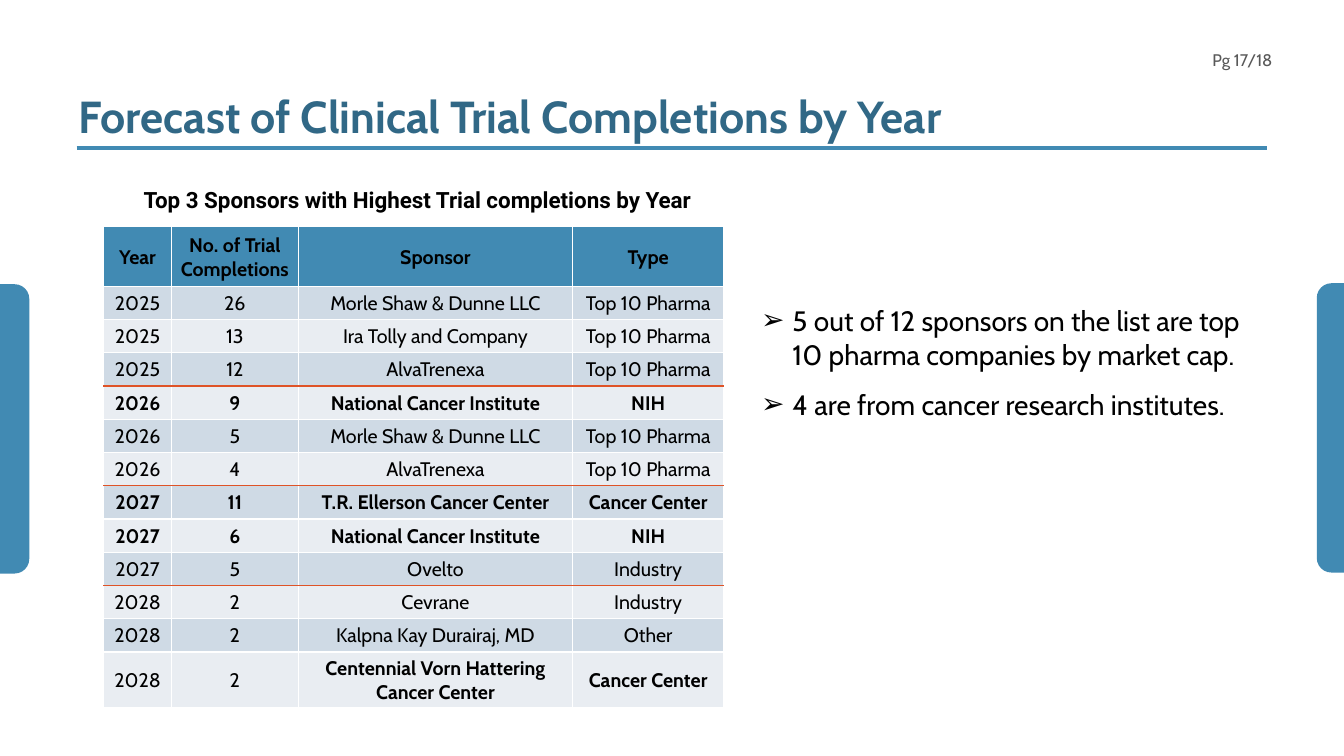
from typing import NamedTuple

from lxml.etree import SubElement
from pptx import Presentation
from pptx.dml.color import RGBColor
from pptx.enum.shapes import MSO_CONNECTOR, MSO_SHAPE
from pptx.enum.text import MSO_ANCHOR as Anchor, MSO_AUTO_SIZE as AutoSize, PP_ALIGN as Align
from pptx.oxml.ns import qn
from pptx.util import Emu, Pt

BLUE = RGBColor(0x41, 0x8A, 0xB3)
TITLE_BLUE = RGBColor(0x31, 0x68, 0x86)
BAND_DARK = RGBColor(0xCF, 0xDA, 0xE5)
BAND_LIGHT = RGBColor(0xE9, 0xED, 0xF2)
ORANGE = RGBColor(0xDF, 0x53, 0x27)
GREY = RGBColor(0x59, 0x59, 0x59)
BLACK = RGBColor(0, 0, 0)
WHITE = RGBColor(0xFF, 0xFF, 0xFF)
EMU_PER_PX = 9144  # 100 px to the inch


class Box(NamedTuple):
    left: int
    top: int
    width: int
    height: int


class Style(NamedTuple):
    size: int
    color: RGBColor = BLACK
    bold: bool = False
    face: str = "Cabin"


class SideTab(NamedTuple):
    box: Box
    rotation: int


class Trial(NamedTuple):
    year: str
    completions: str
    sponsor: str
    kind: str
    bold_from: int = 4  # first bold column; 4 means none


HEADER = Trial("Year", "No. of Trial Completions", "Sponsor", "Type", 0)
TRIALS = [
    Trial("2025", "26", "Morle Shaw & Dunne LLC", "Top 10 Pharma"),
    Trial("2025", "13", "Ira Tolly and Company", "Top 10 Pharma"),
    Trial("2025", "12", "AlvaTrenexa", "Top 10 Pharma"),
    Trial("2026", "9", "National Cancer Institute", "NIH", 0),
    Trial("2026", "5", "Morle Shaw & Dunne LLC", "Top 10 Pharma"),
    Trial("2026", "4", "AlvaTrenexa", "Top 10 Pharma"),
    Trial("2027", "11", "T.R. Ellerson Cancer Center", "Cancer Center", 0),
    Trial("2027", "6", "National Cancer Institute", "NIH", 0),
    Trial("2027", "5", "Ovelto", "Industry"),
    Trial("2028", "2", "Cevrane", "Industry"),
    Trial("2028", "2", "Kalpna Kay Durairaj, MD", "Other"),
    Trial("2028", "2", "Centennial Vorn Hattering Cancer Center", "Cancer Center", 2),
]
COLUMN_WIDTHS = [67, 126, 272, 150]
ROW_HEIGHTS = [59] + [33] * 11 + [55]
SIDE_TABS = [SideTab(Box(-129, 411, 287, 29), 90), SideTab(Box(1177, 410, 287, 29), 270)]
FINDINGS = [
    "5 out of 12 sponsors on the list are top 10 pharma companies by market cap.",
    "4 are from cancer research institutes.",
]


def px(length: int) -> Emu:
    return Emu(length * EMU_PER_PX)


def place(shape, box: Box) -> None:
    shape.left, shape.top, shape.width, shape.height = map(px, box)


def format_runs(paragraph, style: Style) -> None:
    for run in paragraph.runs:
        font = run.font
        font.name, font.size, font.bold = style.face, Pt(style.size), style.bold
        font.color.rgb = style.color


def fill_text(shape, text: str, style: Style, align: Align, anchor: Anchor):
    frame = shape.text_frame
    frame.text = text
    frame.word_wrap, frame.auto_size, frame.vertical_anchor = True, AutoSize.NONE, anchor
    for paragraph in frame.paragraphs:
        paragraph.alignment = align
        format_runs(paragraph, style)
    return frame.paragraphs


def add_side_tab(slide, tab: SideTab) -> None:
    shape = slide.shapes.add_shape(MSO_SHAPE.ROUND_2_SAME_RECTANGLE, *map(px, tab.box))
    shape.adjustments[0], shape.adjustments[1] = 0.5, 0
    shape.rotation = tab.rotation
    shape.shadow.inherit = False
    shape.fill.solid()
    shape.fill.fore_color.rgb = BLUE
    shape.line.fill.background()


def set_borders(cell, top: RGBColor, bottom: RGBColor) -> None:
    properties = cell._tc.get_or_add_tcPr()
    for side, color in (("L", WHITE), ("R", WHITE), ("T", top), ("B", bottom)):
        border = SubElement(properties, qn(f"a:ln{side}"), w=str(Pt(1)))
        solid = SubElement(border, qn("a:solidFill"))
        SubElement(solid, qn("a:srgbClr"), val=str(color))


def fill_cell(cell, text: str, bold: bool, fill: RGBColor, top: RGBColor, bottom: RGBColor) -> None:
    cell.margin_left = cell.margin_top = cell.margin_right = px(1)
    cell.margin_bottom = 0
    cell.vertical_anchor = Anchor.MIDDLE
    set_borders(cell, top, bottom)
    cell.fill.solid()
    cell.fill.fore_color.rgb = fill
    cell.text_frame.text = text
    paragraph = cell.text_frame.paragraphs[0]
    paragraph.alignment = Align.CENTER
    format_runs(paragraph, Style(14, bold=bold))


def add_trial_table(slide) -> None:
    rows = [HEADER, *TRIALS]
    box = Box(103, 225, sum(COLUMN_WIDTHS), sum(ROW_HEIGHTS))
    table = slide.shapes.add_table(len(rows), len(COLUMN_WIDTHS), *map(px, box)).table
    for column, width in zip(table.columns, COLUMN_WIDTHS):
        column.width = px(width)
    for r, trial in enumerate(rows):
        table.rows[r].height = px(ROW_HEIGHTS[r])
        fill = BLUE if r == 0 else BAND_DARK if r % 2 else BAND_LIGHT
        # An orange rule parts each year from the next
        top = ORANGE if r > 1 and trial.year != rows[r - 1].year else WHITE
        last_of_year = 0 < r < len(rows) - 1 and trial.year != rows[r + 1].year
        bottom = ORANGE if last_of_year else WHITE
        for c, text in enumerate(trial[:4]):
            fill_cell(table.cell(r, c), text, c >= trial.bold_from, fill, top, bottom)


def add_bullet(paragraph) -> None:
    properties = paragraph._p.get_or_add_pPr()
    properties.set("marL", str(px(31)))
    properties.set("indent", str(px(-31)))
    SubElement(properties, qn("a:buChar"), char="➢")


def main() -> None:
    deck = Presentation()
    deck.slide_width, deck.slide_height = px(1333), px(750)
    slide = deck.slides.add_slide(deck.slide_layouts[1])
    title, findings = slide.placeholders

    # Page number and title
    page_number = slide.shapes.add_textbox(*map(px, Box(1139, 44, 133, 30)))
    fill_text(page_number, "Pg 17/18", Style(12, GREY), Align.RIGHT, Anchor.MIDDLE)
    place(title, Box(68, 29, 1189, 117))
    heading = fill_text(title, "Forecast of Clinical Trial Completions by Year",
                        Style(32, TITLE_BLUE, True), Align.LEFT, Anchor.BOTTOM)
    heading[0].line_spacing = 0.8

    # Side tabs and title rule
    for tab in SIDE_TABS:
        add_side_tab(slide, tab)
    title_rule = slide.shapes.add_connector(
        MSO_CONNECTOR.STRAIGHT, px(76), px(147), px(1257), px(147))
    title_rule.line.color.rgb = BLUE
    title_rule.line.width = Pt(3)
    SubElement(title_rule._element.spPr, qn("a:effectLst"))

    # Table with its caption
    add_trial_table(slide)
    caption = slide.shapes.add_textbox(*map(px, Box(109, 177, 605, 37)))
    caption_lines = fill_text(caption, "Top 3 Sponsors with Highest Trial completions by Year",
                              Style(16, bold=True, face="Roboto"), Align.CENTER, Anchor.TOP)
    caption_lines[0].line_spacing = 1.1
    caption_lines[0]._p.get_or_add_pPr().set("marL", str(px(5)))

    # Findings
    place(findings, Box(745, 296, 512, 197))
    points = fill_text(findings, "\n".join(FINDINGS), Style(20), Align.LEFT, Anchor.TOP)
    for i, point in enumerate(points):
        point.space_before = Pt(12 if i else 0)
        add_bullet(point)

    deck.save("out.pptx")


if __name__ == "__main__":
    main()
